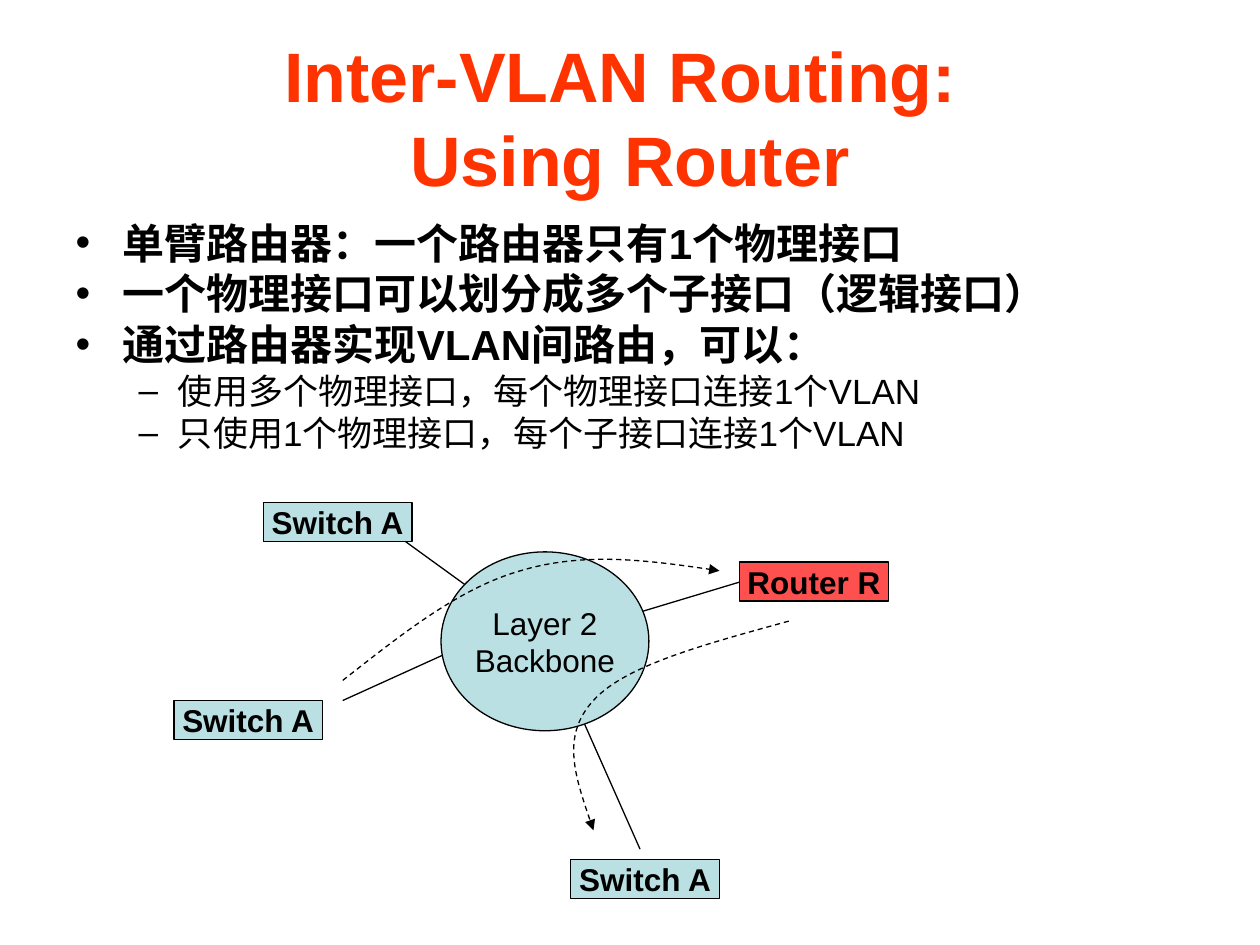
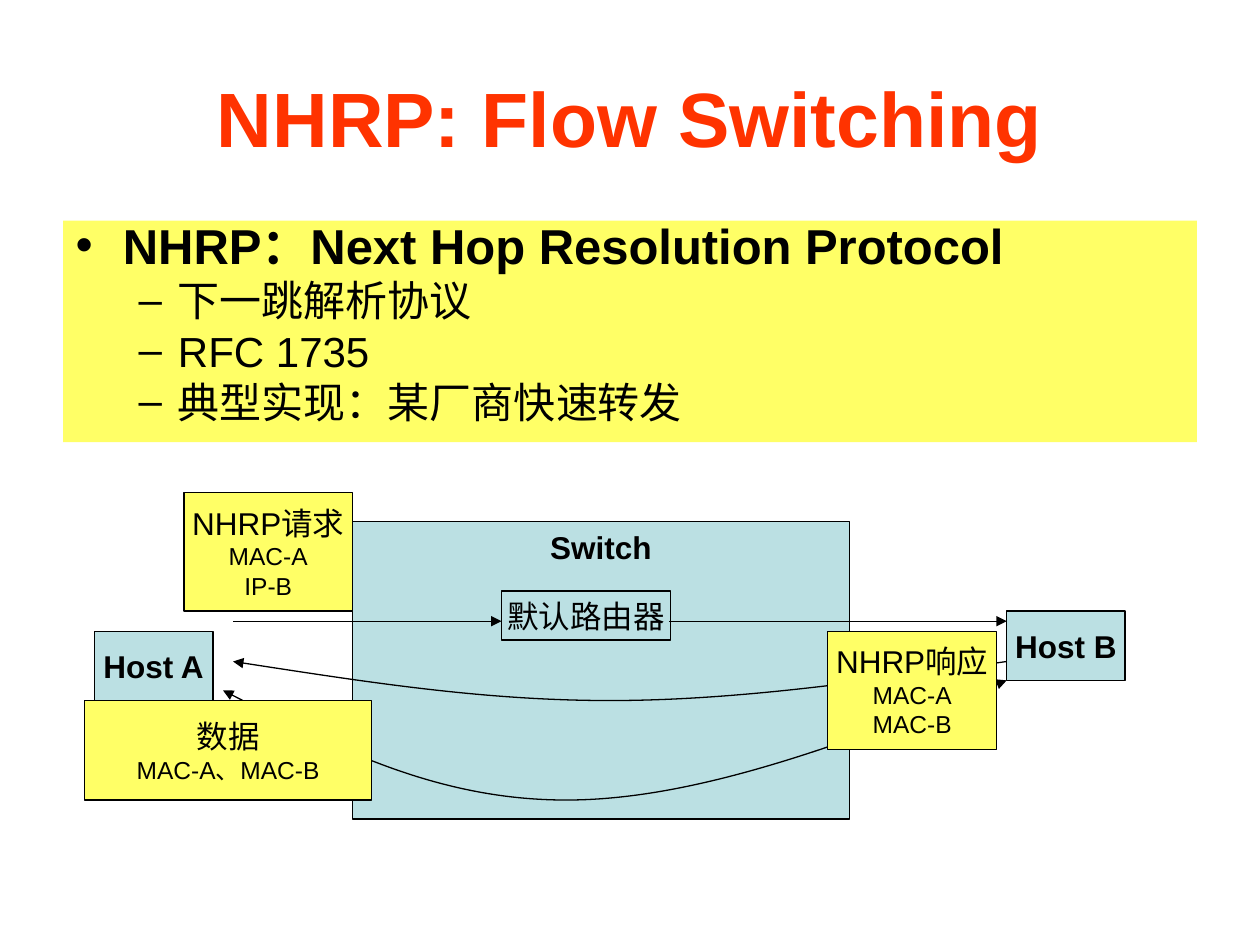
from dataclasses import dataclass

from lxml import etree
from pptx import Presentation
from pptx import util as u
from pptx.dml.color import RGBColor
from pptx.enum import dml, shapes, text
from pptx.oxml.ns import qn


@dataclass(frozen=True)
class Theme:
    font: str = "Arial"
    title: str = "FF3300"
    ink: str = "000000"
    device: str = "BBE0E3"
    router: str = "FF5050"
    packet: str = "FFFF66"
    label_size: int = 18
    detail_size: int = 14
    line_width: float = 0.75
    body_spacing: float = 0.8
    space_ratio: float = 0.25


THEME = Theme()
BOX = shapes.MSO_SHAPE.RECTANGLE
LABEL = (1.18, 0.31)
HOST = (0.94, 0.55)
PACKET = (1.34, 0.94)


def rgb(value):
    return RGBColor.from_string(value)


def write(paragraph, content, size=THEME.label_size, color=THEME.ink, bold=False,
          align=None, level=0, spacing=None, before=0):
    paragraph.text = content
    paragraph.level = level
    paragraph.alignment = align
    paragraph.line_spacing = spacing
    paragraph.space_before = u.Pt(before)
    for run in paragraph.runs:
        run.font.name = THEME.font
        run.font.size = u.Pt(size)
        run.font.bold = bold
        run.font.color.rgb = rgb(color)


def place(shape, left, top, width, height):
    shape.left, shape.top = u.Inches(left), u.Inches(top)
    shape.width, shape.height = u.Inches(width), u.Inches(height)


def add_paragraph(frame, index):
    return frame.paragraphs[0] if index == 0 else frame.add_paragraph()


def add_title(slide, content, size):
    title = slide.shapes.title
    place(title, 0.5, 0.3, 9, 1.25)
    frame = title.text_frame
    frame.auto_size = text.MSO_AUTO_SIZE.NONE
    frame.vertical_anchor = text.MSO_ANCHOR.MIDDLE
    write(frame.paragraphs[0], content, size=size, color=THEME.title, bold=True,
          align=text.PP_ALIGN.CENTER)


def add_bullets(slide, items, height, sizes, fill=None):
    body = slide.placeholders[1]
    place(body, 0.5, 1.75, 9, height)
    if fill:
        body.fill.solid()
        body.fill.fore_color.rgb = rgb(fill)
    frame = body.text_frame
    frame.auto_size = text.MSO_AUTO_SIZE.NONE
    for index, (level, content) in enumerate(items):
        size = sizes[level]
        write(add_paragraph(frame, index), content, size=size, bold=level == 0,
              level=level, spacing=THEME.body_spacing,
              before=size * THEME.space_ratio if index else 0)


def style_line(shape, dashed=False, head=False, tail=False):
    shape.line.color.rgb = rgb(THEME.ink)
    shape.line.width = u.Pt(THEME.line_width)
    if dashed:
        shape.line.dash_style = dml.MSO_LINE.DASH
    outline = shape.element.spPr.find(qn("a:ln"))
    for wanted, tag in ((head, "a:headEnd"), (tail, "a:tailEnd")):
        if wanted:
            etree.SubElement(outline, qn(tag), type="triangle")


def add_node(slide, position, size, lines, fill=THEME.device, kind=BOX, bold=False,
             anchor=text.MSO_ANCHOR.MIDDLE):
    shape = slide.shapes.add_shape(kind, *map(u.Inches, (*position, *size)))
    shape.shadow.inherit = False
    shape.fill.solid()
    shape.fill.fore_color.rgb = rgb(fill)
    style_line(shape)
    frame = shape.text_frame
    frame.word_wrap = False
    frame.vertical_anchor = anchor
    for index, (content, point_size) in enumerate(lines):
        write(add_paragraph(frame, index), content, size=point_size, bold=bold,
              align=text.PP_ALIGN.CENTER)


def add_device(slide, position, size, name, **options):
    add_node(slide, position, size, [(name, THEME.label_size)], bold=True, **options)


def add_packet(slide, position, size, name, *details):
    lines = [(name, THEME.label_size)]
    lines += [(detail, THEME.detail_size) for detail in details]
    add_node(slide, position, size, lines, fill=THEME.packet)


def add_link(slide, start, end, **ends):
    link = slide.shapes.add_connector(
        shapes.MSO_CONNECTOR.STRAIGHT, *map(u.Inches, (*start, *end)))
    style_line(link, **ends)
    etree.SubElement(link.element.spPr, qn("a:effectLst"))


def add_curve(slide, points, **options):
    start, *others = [tuple(map(u.Inches, point)) for point in points]
    builder = slide.shapes.build_freeform(*start)
    builder.add_line_segments(others, close=False)
    curve = builder.convert_to_shape()
    curve.shadow.inherit = False
    curve.fill.background()
    style_line(curve, **options)
    outline = next(curve.element.iter(qn("a:path")))
    segments = outline.findall(qn("a:lnTo"))
    for first in range(0, len(segments), 3):
        bezier = etree.SubElement(outline, qn("a:cubicBezTo"))
        for segment in segments[first:first + 3]:
            bezier.append(segment[0])
            outline.remove(segment)


def add_slide(presentation):
    return presentation.slides.add_slide(presentation.slide_layouts[1])


def build_router_slide(presentation):
    slide = add_slide(presentation)
    add_title(slide, "Inter-VLAN Routing: \vUsing Router", 40)
    add_bullets(slide, [
        (0, "单臂路由器：一个路由器只有1个物理接口"),
        (0, "一个物理接口可以划分成多个子接口（逻辑接口）"),
        (0, "通过路由器实现VLAN间路由，可以："),
        (1, "使用多个物理接口，每个物理接口连接1个VLAN"),
        (1, "只使用1个物理接口，每个子接口连接1个VLAN"),
    ], height=2, sizes=(24, 20))

    for start, end in (
        ((2.72, 5.56), (3.58, 5.17)),
        ((3.11, 4.22), (3.98, 4.85)),
        ((5.08, 6.74), (4.45, 5.32)),
        ((4.84, 4.93), (5.87, 4.62)),
    ):
        add_link(slide, start, end)
    add_node(slide, (3.5, 4.38), (1.65, 1.42),
             [("Layer 2", THEME.label_size), ("Backbone", THEME.label_size)],
             kind=shapes.MSO_SHAPE.OVAL)
    for position in ((1.38, 5.56), (2.09, 3.99), (4.53, 6.82)):
        add_device(slide, position, LABEL, "Switch A")
    add_device(slide, (5.87, 4.46), LABEL, "Router R", fill=THEME.router)

    to_router = [(2.72, 5.4), (3.18, 5.04), (3.64, 4.67), (4.13, 4.53),
                 (4.63, 4.38), (5.17, 4.45), (5.71, 4.53)]
    from_router = [(6.26, 4.93), (5.61, 5.11), (4.96, 5.28), (4.71, 5.56),
                   (4.45, 5.84), (4.58, 6.21), (4.71, 6.59)]
    for route in (to_router, from_router):
        add_curve(slide, route, dashed=True, tail=True)


def build_nhrp_slide(presentation):
    slide = add_slide(presentation)
    add_title(slide, "NHRP: Flow Switching", 44)
    add_bullets(slide, [
        (0, "NHRP：Next Hop Resolution Protocol"),
        (1, "下一跳解析协议"),
        (1, "RFC 1735"),
        (1, "典型实现：某厂商快速转发"),
    ], height=1.76, sizes=(28, 24), fill=THEME.packet)

    add_device(slide, (2.8, 4.14), (3.94, 2.36), "Switch", anchor=text.MSO_ANCHOR.TOP)
    add_device(slide, (7.99, 4.85), HOST, "Host B")
    add_device(slide, (0.75, 5.01), HOST, "Host A")
    add_node(slide, (3.98, 4.69), (1.34, 0.39), [("默认路由器", THEME.label_size)])
    add_link(slide, (1.85, 4.93), (3.98, 4.93), tail=True)
    add_link(slide, (5.31, 4.93), (7.99, 4.93), tail=True)

    reply = [(7.99, 5.25), (6.93, 5.4), (5.87, 5.56), (4.84, 5.56),
             (3.82, 5.56), (2.83, 5.4), (1.85, 5.25)]
    data = [(1.77, 5.48), (2.63, 5.92), (3.49, 6.36), (4.53, 6.35),
            (5.56, 6.34), (6.78, 5.87), (7.99, 5.4)]
    add_curve(slide, reply, tail=True)
    add_curve(slide, data, head=True, tail=True)

    add_packet(slide, (1.46, 3.91), PACKET, "NHRP请求", "MAC-A", "IP-B")
    add_packet(slide, (6.57, 5.01), PACKET, "NHRP响应", "MAC-A", "MAC-B")
    add_packet(slide, (0.67, 5.56), (2.28, 0.79), "数据", "MAC-A、MAC-B")


def main():
    presentation = Presentation()
    presentation.slide_width = u.Inches(10)
    presentation.slide_height = u.Inches(7.5)
    build_router_slide(presentation)
    build_nhrp_slide(presentation)
    presentation.save("out.pptx")


if __name__ == "__main__":
    main()
